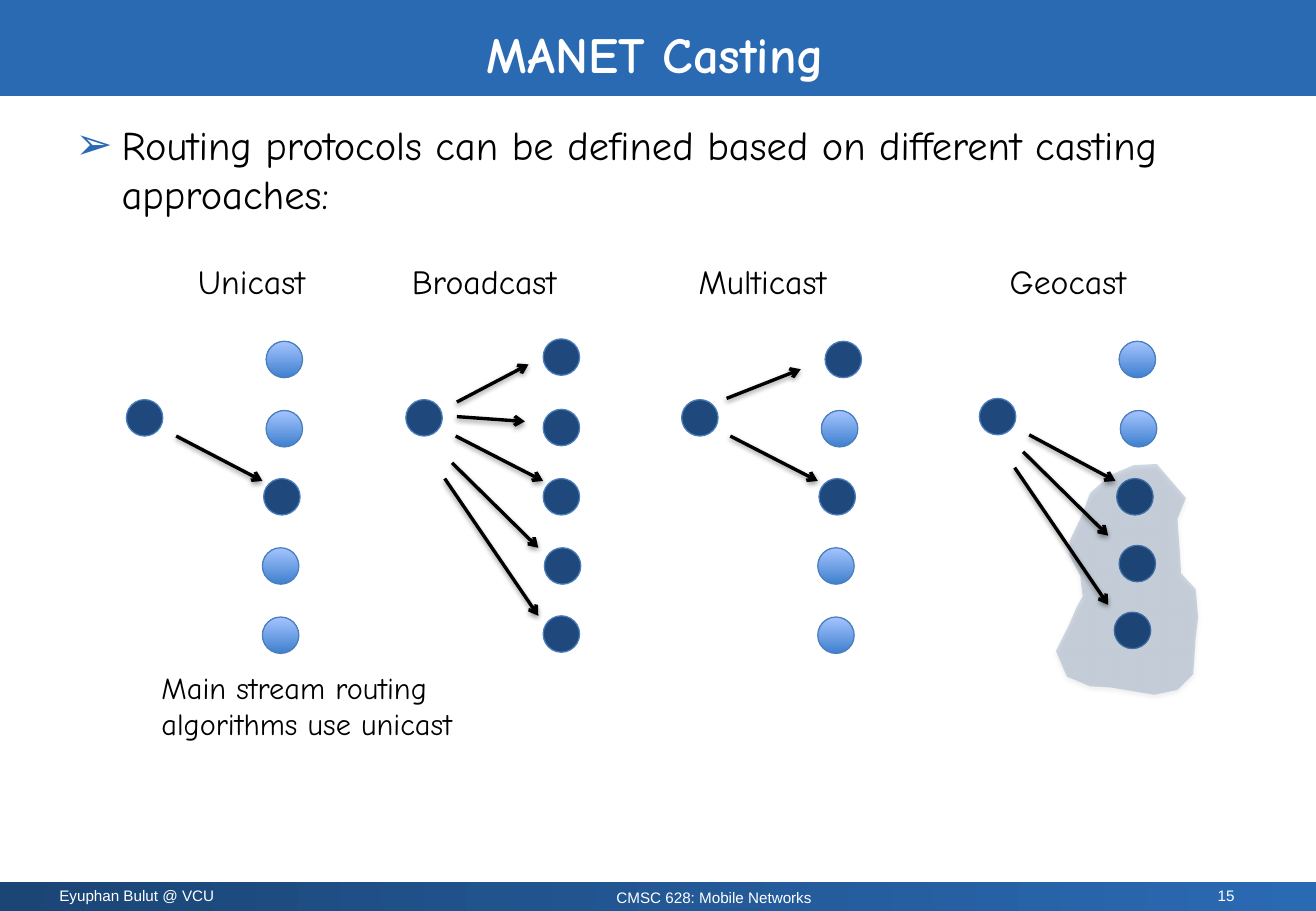
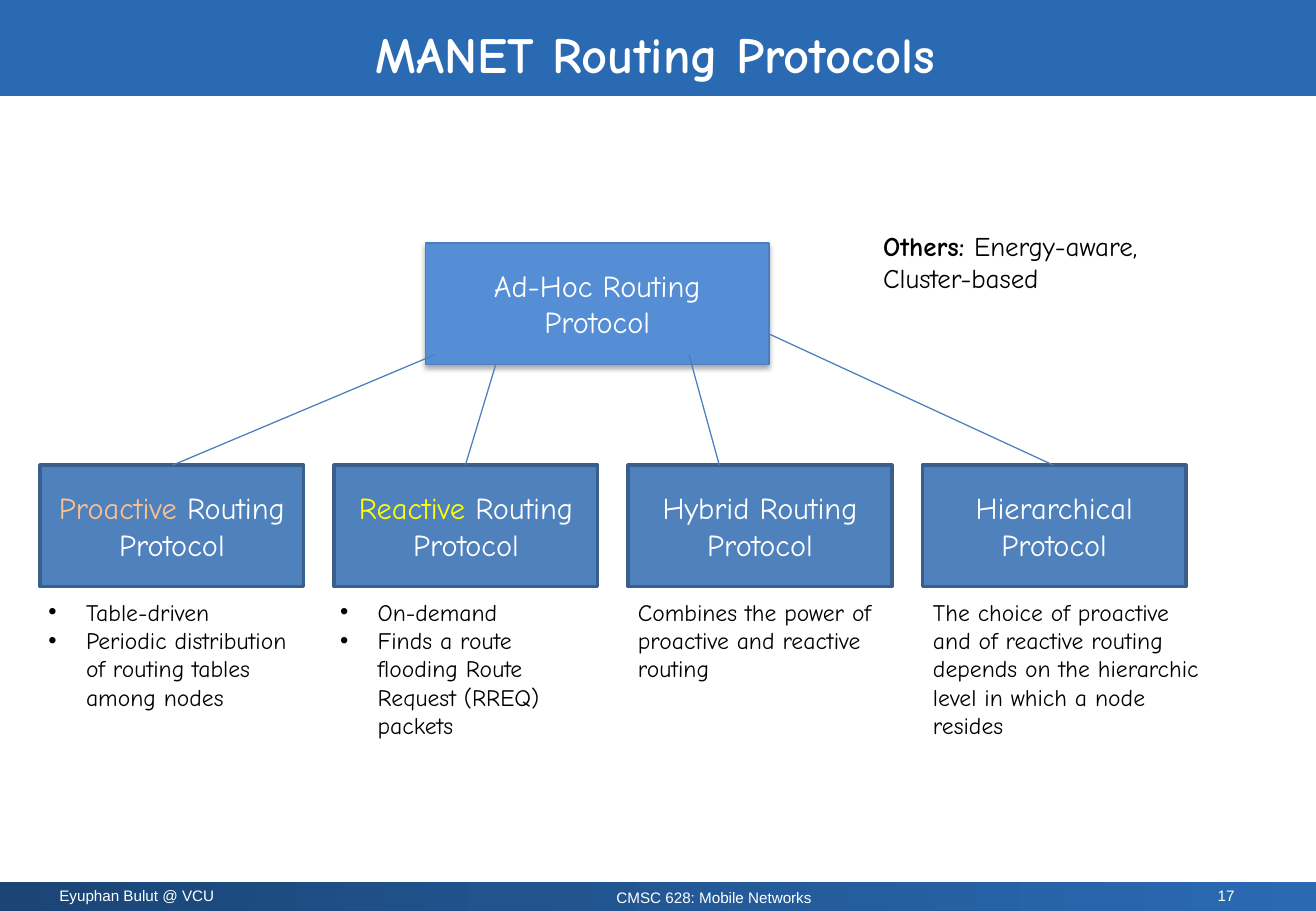
from dataclasses import dataclass

from lxml.etree import SubElement
from pptx import Presentation
from pptx.dml.color import RGBColor
from pptx.enum.shapes import MSO_CONNECTOR, MSO_SHAPE
from pptx.enum.text import MSO_ANCHOR as ANCHOR, MSO_AUTO_SIZE, PP_ALIGN as ALIGN
from pptx.oxml.ns import qn
from pptx.util import Inches, Pt

SLIDE_WIDTH, SLIDE_HEIGHT = 10.83, 7.5
TITLE_FONT, FOOTER_FONT = "Comic Neue", "Arial"
BLACK = RGBColor(0x00, 0x00, 0x00)
WHITE = RGBColor(0xFF, 0xFF, 0xFF)
BAND_BLUE = RGBColor(0x2A, 0x6A, 0xB3)
BAND_DARK = RGBColor(0x1B, 0x45, 0x75)
NAVY = RGBColor(0x1F, 0x49, 0x7D)
EDGE_BLUE = RGBColor(0x4B, 0x7E, 0xBC)
DOT_BOTTOM = RGBColor(0x3F, 0x80, 0xCE)
DOT_TOP = RGBColor(0xA4, 0xC4, 0xFF)
ROOT_BLUE = RGBColor(0x55, 0x8E, 0xD5)
BOX_BLUE = RGBColor(0x4F, 0x81, 0xBD)
BOX_EDGE = RGBColor(0x3A, 0x5F, 0x8C)
PEACH = RGBColor(0xFA, 0xC0, 0x90)
YELLOW = RGBColor(0xFF, 0xFF, 0x00)
DOT_SIZE = 0.3
BOX_WIDTH, BOX_HEIGHT, BOX_TOP = 2.17, 1, 3.83
LINE_SHADOW = (38, 1.6)
SHAPE_SHADOW = (35, 1.8)


@dataclass
class Cast:
    name: str
    label_left: float
    source: tuple
    reached: list
    idle: list
    arrows: list


@dataclass
class Protocol:
    runs: list
    line: tuple
    note_left: float
    note_width: float
    notes: list
    bullet: str = ""


CASTS = [
    Cast("Unicast", 1.53, (1.04, 3.29), [(2.17, 3.94)],
         [(2.19, 2.81), (2.19, 3.38), (2.16, 4.51), (2.16, 5.08)],
         [(1.45, 3.59, 2.16, 3.96)]),
    Cast("Broadcast", 3.29, (3.34, 3.29),
         [(4.47, 2.79), (4.47, 3.37), (4.47, 3.94), (4.48, 4.51), (4.47, 5.07)], [],
         [(3.76, 3.31, 4.35, 3), (3.76, 3.43, 4.32, 3.47), (3.75, 3.59, 4.47, 3.96),
          (3.72, 3.81, 4.43, 4.51), (3.66, 3.94, 4.43, 5.07)]),
    Cast("Multicast", 5.65, (5.61, 3.29), [(6.79, 2.81), (6.74, 3.94)],
         [(6.76, 3.38), (6.73, 4.51), (6.73, 5.08)],
         [(5.98, 3.28, 6.59, 3.04), (6.01, 3.59, 6.73, 3.96)]),
    Cast("Geocast", 8.21, (8.06, 3.28), [(9.19, 3.94), (9.21, 4.49), (9.17, 5.04)],
         [(9.21, 2.81), (9.22, 3.38)],
         [(8.47, 3.58, 9.18, 3.96), (8.42, 3.72, 9.12, 4.41), (8.35, 3.85, 9.12, 4.98)]),
]

REGION = [
    (8.91, 4.23), (8.97, 4.06), (9.14, 3.91), (9.33, 3.83), (9.52, 3.82), (9.76, 4.1),
    (9.69, 4.27), (9.71, 4.55), (9.72, 4.72), (9.84, 4.85), (9.86, 5.08), (9.84, 5.25),
    (9.82, 5.55), (9.69, 5.68), (9.5, 5.72), (9.14, 5.66), (8.97, 5.65), (8.78, 5.57),
    (8.69, 5.36), (8.8, 5.14), (8.86, 5), (8.91, 4.91), (8.89, 4.74), (8.8, 4.57),
    (8.8, 4.46),
]

PROTOCOLS = [
    Protocol([("Proactive", PEACH, False), (" Routing Protocol", WHITE, False)],
             (1.42, BOX_TOP, 3.58, 2.92), 0.3, 2.33,
             ["Table-driven", "Periodic distribution of routing tables among nodes"], "•"),
    Protocol([("Reactive", YELLOW, False), (" Routing Protocol", WHITE, False)],
             (3.83, BOX_TOP, 4.08, 3), 2.7, 2.26,
             ["On-demand", "Finds a route flooding Route Request (RREQ) packets"], "•"),
    Protocol([("Hybrid Routing Protocol", WHITE, False)],
             (5.92, BOX_TOP, 5.67, 2.92), 5.15, 2.31,
             ["Combines the power of proactive and reactive routing"]),
    Protocol([("Hierarchical Protocol", WHITE, False)],
             (8.67, BOX_TOP, 6.33, 2.75), 7.58, 2.5,
             ["The choice of proactive and of reactive routing depends on the "
              "hierarchic level in which a node resides"]),
]


def inches(*lengths):
    return [Inches(length) for length in lengths]


def place(shape, left, top, width, height):
    shape.left, shape.top, shape.width, shape.height = inches(left, top, width, height)


def write_runs(paragraph, runs, size, font=TITLE_FONT, align=ALIGN.LEFT):
    paragraph.alignment = align
    for text, color, bold in runs:
        run = paragraph.add_run()
        run.text = text
        run.font.name = font
        run.font.size = Pt(size)
        run.font.bold = bold
        run.font.color.rgb = color


def set_indent(paragraph, margin, hanging=0):
    properties = paragraph._p.get_or_add_pPr()
    properties.set("marL", str(Inches(margin)))
    properties.set("indent", str(-Inches(hanging)))
    return properties


def add_bullet(paragraph, character, indent, color=None, percent=100):
    properties = set_indent(paragraph, indent, indent)
    if color is not None:
        SubElement(SubElement(properties, qn("a:buClr")), qn("a:srgbClr"), val=str(color))
    SubElement(properties, qn("a:buSzPct"), val=str(percent * 1000))
    SubElement(properties, qn("a:buFont"), typeface="Arial")
    SubElement(properties, qn("a:buChar"), char=character)


def clear_insets(text_frame):
    text_frame.margin_left = text_frame.margin_right = 0
    text_frame.margin_top = text_frame.margin_bottom = 0


def add_text(slide, box, runs, size, font=TITLE_FONT, align=ALIGN.LEFT):
    text_frame = slide.shapes.add_textbox(*inches(*box)).text_frame
    text_frame.word_wrap = True
    write_runs(text_frame.paragraphs[0], runs, size, font, align)
    return text_frame


def add_shadow(effects, opacity, distance):
    shadow = SubElement(effects, qn("a:outerShdw"), blurRad=str(Pt(3.1)),
                        dist=str(Pt(distance)), dir="5400000", rotWithShape="0")
    color = SubElement(shadow, qn("a:srgbClr"), val=str(BLACK))
    SubElement(color, qn("a:alpha"), val=str(opacity * 1000))


def style_shape(shape, fill, edge=None, edge_width=0.75, shadow=None, angle=0):
    if isinstance(fill, RGBColor):
        shape.fill.solid()
        shape.fill.fore_color.rgb = fill
    else:
        shape.fill.gradient()
        shape.fill.gradient_angle = angle
        for stop, color in zip(shape.fill.gradient_stops, fill):
            stop.color.rgb = color
    if edge is None:
        shape.line.fill.background()
    else:
        shape.line.color.rgb = edge
        shape.line.width = Pt(edge_width)
    shape.shadow.inherit = False
    if shadow:
        add_shadow(shape.element.spPr.find(qn("a:effectLst")), *shadow)


def add_preset(slide, kind, box, fill, **style):
    shape = slide.shapes.add_shape(kind, *inches(*box))
    style_shape(shape, fill, **style)
    return shape


def add_box(slide, box, runs, fill, **style):
    text_frame = add_preset(slide, MSO_SHAPE.RECTANGLE, box, fill, **style).text_frame
    text_frame.word_wrap = True
    text_frame.vertical_anchor = ANCHOR.MIDDLE
    write_runs(text_frame.paragraphs[0], runs, 18, align=ALIGN.CENTER)


def add_dot(slide, position, active):
    fill = NAVY if active else [DOT_BOTTOM, DOT_TOP]
    add_preset(slide, MSO_SHAPE.OVAL, (*position, DOT_SIZE, DOT_SIZE), fill,
               edge=EDGE_BLUE, angle=90)


def add_line(slide, ends, color, width, arrow=False):
    connector = slide.shapes.add_connector(MSO_CONNECTOR.STRAIGHT, *inches(*ends))
    connector.line.color.rgb = color
    connector.line.width = Pt(width)
    properties = connector.element.spPr
    effects = SubElement(properties, qn("a:effectLst"))
    if arrow:
        SubElement(properties.find(qn("a:ln")), qn("a:tailEnd"), type="arrow")
        add_shadow(effects, *LINE_SHADOW)


def add_region(slide):
    points = [inches(*point) for point in REGION]
    builder = slide.shapes.build_freeform(*points[0])
    builder.add_line_segments(points[1:], close=True)
    region = builder.convert_to_shape()
    style_shape(region, NAVY, shadow=SHAPE_SHADOW)
    color = region.element.spPr.find(qn("a:solidFill"))[0]
    SubElement(color, qn("a:alpha"), val="20000")


def add_master_bands(presentation, slide):
    before = len(slide.shapes)
    add_preset(slide, MSO_SHAPE.RECTANGLE, (0, 7.26, SLIDE_WIDTH, 0.24), [BAND_DARK, BAND_BLUE])
    add_text(slide, (0.39, 7.25, 3.36, 0.25), [("Eyuphan Bulut @ VCU", WHITE, False)],
             9, FOOTER_FONT)
    add_text(slide, (2.92, 7.26, 5.91, 0.25), [("CMSC 628: Mobile Networks", WHITE, False)],
             9, FOOTER_FONT, ALIGN.CENTER)
    add_preset(slide, MSO_SHAPE.RECTANGLE, (0, 0, SLIDE_WIDTH, 0.79), BAND_BLUE)
    for number, shape in enumerate(list(slide.shapes)[before:], start=101):
        shape.element.nvSpPr.cNvPr.set("id", str(number))
        presentation.slide_master.shapes.element.append(shape.element)


def start_slide(presentation, layout, title, number):
    slide = presentation.slides.add_slide(presentation.slide_layouts[layout])
    place(slide.shapes.title, 0.61, 0.16, 9.57, 0.47)
    text_frame = slide.shapes.title.text_frame
    text_frame.auto_size = MSO_AUTO_SIZE.NONE
    text_frame.vertical_anchor = ANCHOR.TOP
    clear_insets(text_frame)
    paragraph = text_frame.paragraphs[0]
    paragraph.line_spacing = Pt(38)
    write_runs(paragraph, [(title, WHITE, True)], 30, align=ALIGN.CENTER)
    number_frame = add_text(slide, (9.26, 7.25, 0.9, 0.25), [(str(number), WHITE, False)],
                            9, FOOTER_FONT, ALIGN.RIGHT)
    number_frame.vertical_anchor = ANCHOR.MIDDLE
    clear_insets(number_frame)
    return slide


def fill_casting_slide(slide):
    body = slide.placeholders[1]
    place(body, 0.62, 0.99, 9.56, 6.04)
    body.text_frame.auto_size = MSO_AUTO_SIZE.NONE
    clear_insets(body.text_frame)
    paragraph = body.text_frame.paragraphs[0]
    add_bullet(paragraph, "➢", 0.38, BAND_BLUE, 110)
    paragraph.space_before = Pt(0)
    write_runs(paragraph, [("Routing protocols can be defined based on different casting "
                            "approaches:", BLACK, False)], 24)
    for cast in CASTS:
        add_text(slide, (cast.label_left, 2.1, 1.55, 0.44), [(cast.name, BLACK, False)], 20)
        for position in [cast.source, *cast.reached]:
            add_dot(slide, position, True)
        for position in cast.idle:
            add_dot(slide, position, False)
    add_region(slide)
    for cast in CASTS:
        for ends in cast.arrows:
            add_line(slide, ends, BLACK, 2, arrow=True)
    remark = add_text(slide, (1.04, 5.46, 3.13, 0.71),
                      [("Main stream routing algorithms use unicast", BLACK, False)], 18)
    set_indent(remark.paragraphs[0], 0.19)


def fill_protocol_slide(slide):
    add_box(slide, (3.5, 2, 2.83, 1), [("Ad-Hoc Routing Protocol", WHITE, False)], ROOT_BLUE,
            edge=EDGE_BLUE, shadow=SHAPE_SHADOW)
    for index, protocol in enumerate(PROTOCOLS):
        left = 0.33 + index * (BOX_WIDTH + 0.25)
        add_box(slide, (left, BOX_TOP, BOX_WIDTH, BOX_HEIGHT), protocol.runs, BOX_BLUE,
                edge=BOX_EDGE, edge_width=2)
        add_line(slide, protocol.line, EDGE_BLUE, 0.75)
        text_frame = add_text(slide, (protocol.note_left, 4.87, protocol.note_width, 1.28), [], 14)
        for position, note in enumerate(protocol.notes):
            paragraph = text_frame.add_paragraph() if position else text_frame.paragraphs[0]
            if protocol.bullet:
                add_bullet(paragraph, protocol.bullet, 0.31)
            write_runs(paragraph, [(note, BLACK, False)], 14)
    add_text(slide, (7.17, 1.84, 2.6, 0.64),
             [("Others: ", BLACK, True), ("Energy-aware, Cluster-based", BLACK, False)], 16)


def main():
    presentation = Presentation()
    presentation.slide_width, presentation.slide_height = inches(SLIDE_WIDTH, SLIDE_HEIGHT)
    casting = start_slide(presentation, 1, "MANET Casting", 15)
    add_master_bands(presentation, casting)
    fill_casting_slide(casting)
    fill_protocol_slide(start_slide(presentation, 5, "MANET Routing Protocols", 17))
    presentation.save("out.pptx")


if __name__ == "__main__":
    main()
